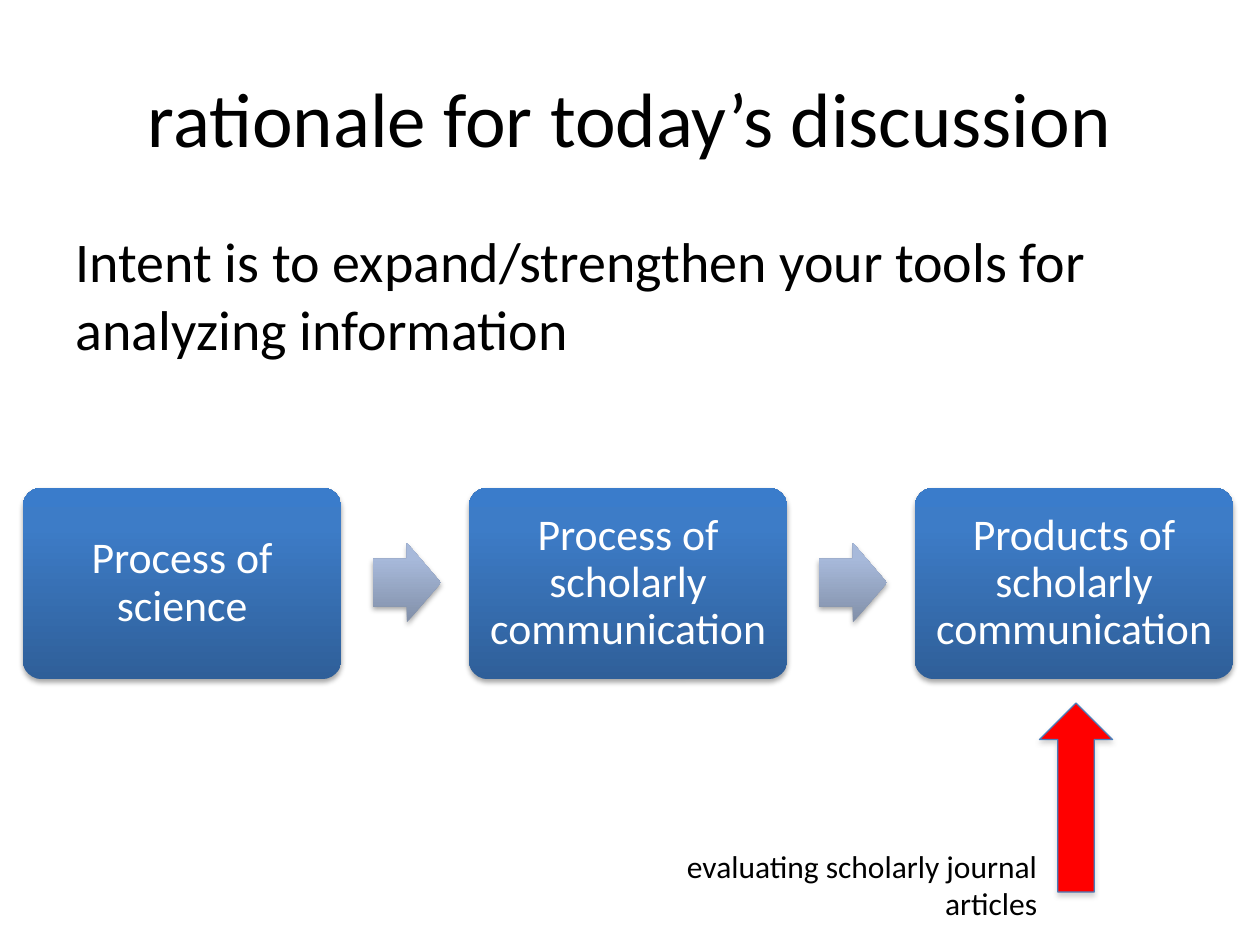
from dataclasses import dataclass

from lxml import etree
from pptx import Presentation
from pptx import util as u
from pptx.dml.color import RGBColor
from pptx.enum import shapes, text
from pptx.oxml import parse_xml
from pptx.oxml.ns import nsdecls, qn

FONT = "Calibri"
BOX_STOPS = ((0, "2F5F99"), (80, "3D7CC7"), (100, "3A7CCB"))
ARROW_STOPS = ((0, "818FA8"), (80, "A7B9DA"), (100, "A7BADC"))


@dataclass
class Area:
    left: float
    top: float
    width: float
    height: float

    def lengths(self):
        return [u.Inches(n) for n in (self.left, self.top, self.width, self.height)]


def color(value: str) -> RGBColor:
    return RGBColor.from_string(value)


def style_paragraph(paragraph, size: float, value: str, alignment) -> None:
    paragraph.font.name = FONT
    paragraph.font.size = u.Pt(size)
    paragraph.font.color.rgb = color(value)
    paragraph.alignment = alignment


def fill_placeholder(shape, area: Area, words: str, size: float, alignment):
    shape.left, shape.top, shape.width, shape.height = area.lengths()
    shape.text_frame.text = words
    paragraph = shape.text_frame.paragraphs[0]
    style_paragraph(paragraph, size, "000000", alignment)
    return paragraph


def add_shadow(shape, value: str) -> None:
    shape.shadow.inherit = False
    effects = shape._element.spPr.find(qn("a:effectLst"))
    effects.append(parse_xml(
        f'<a:outerShdw {nsdecls("a")} blurRad="{u.Pt(3.1)}" dist="{u.Pt(1.8)}" '
        f'dir="5400000" rotWithShape="0"><a:srgbClr val="{value}">'
        '<a:alpha val="35000"/></a:srgbClr></a:outerShdw>'))


def add_preset(slide, kind, area: Area, adjustments: tuple, shadow: str):
    shape = slide.shapes.add_shape(kind, *area.lengths())
    for index, adjustment in enumerate(adjustments):
        shape.adjustments[index] = adjustment
    add_shadow(shape, shadow)
    return shape


def set_gradient(shape, gradient_stops: tuple) -> None:
    """Fill without outline; the first stop lies at the bottom."""
    shape.fill.gradient()
    shape.fill.gradient_angle = 90
    stop_list = shape._element.spPr.find(f'.//{qn("a:gsLst")}')
    for stop in list(stop_list):
        stop_list.remove(stop)
    for position, value in gradient_stops:
        stop = etree.SubElement(stop_list, qn("a:gs"), pos=str(position * 1000))
        etree.SubElement(stop, qn("a:srgbClr"), val=value)
    shape.line.fill.background()


def add_step(slide, area: Area, words: str) -> None:
    shape = add_preset(slide, shapes.MSO_SHAPE.ROUNDED_RECTANGLE, area, (0.1,), "000000")
    set_gradient(shape, BOX_STOPS)
    frame = shape.text_frame
    frame.word_wrap = True
    frame.vertical_anchor = text.MSO_ANCHOR.MIDDLE
    frame.margin_left = frame.margin_right = u.Inches(0.1)
    frame.margin_top = frame.margin_bottom = u.Inches(0.1)
    frame.text = words
    paragraph = frame.paragraphs[0]
    style_paragraph(paragraph, 25, "FFFFFF", text.PP_ALIGN.CENTER)
    paragraph.line_spacing = 0.9


def add_step_arrow(slide, area: Area) -> None:
    shape = add_preset(slide, shapes.MSO_SHAPE.RIGHT_ARROW, area, (0.6, 0.5), "000000")
    set_gradient(shape, ARROW_STOPS)


def main() -> None:
    presentation = Presentation()
    presentation.slide_width, presentation.slide_height = u.Inches(10), u.Inches(7.5)
    slide = presentation.slides.add_slide(presentation.slide_layouts[1])

    # Title and intent
    fill_placeholder(slide.shapes.title, Area(0.5, 0.3, 9, 1.25),
                     "rationale for today’s discussion", 44, text.PP_ALIGN.CENTER)
    intent = fill_placeholder(
        slide.placeholders[1], Area(0.5, 1.75, 9, 1.25),
        "Intent is to expand/strengthen your tools for analyzing information",
        32, text.PP_ALIGN.LEFT)
    properties = intent._p.get_or_add_pPr()
    properties.set("marL", "0")
    properties.set("indent", "0")
    properties.insert_element_before(
        parse_xml(f'<a:buNone {nsdecls("a")}/>'), "a:tabLst", "a:defRPr", "a:extLst")

    # Process: three steps with an arrow after each but the last
    steps = ("Process of science", "Process of scholarly communication",
             "Products of scholarly communication")
    pitch = 3.54
    for index, words in enumerate(steps):
        left = 0.18 + index * pitch
        add_step(slide, Area(left, 3.87, 2.53, 1.52), words)
        if index < len(steps) - 1:
            add_step_arrow(slide, Area(left + 2.78, 4.31, 0.54, 0.63))

    # Red pointer and its caption
    pointer = add_preset(slide, shapes.MSO_SHAPE.UP_ARROW, Area(8.25, 5.58, 0.58, 1.5),
                         (0.5, 0.5), "808080")
    pointer.fill.solid()
    pointer.fill.fore_color.rgb = color("FF0000")
    pointer.line.color.rgb = color("4A7EBB")
    pointer.line.width = u.Pt(0.75)

    caption = slide.shapes.add_textbox(*Area(4.75, 6.67, 3.58, 0.71).lengths())
    caption.text_frame.word_wrap = True
    caption.text_frame.auto_size = text.MSO_AUTO_SIZE.SHAPE_TO_FIT_TEXT
    caption.text_frame.text = "evaluating scholarly journal articles"
    style_paragraph(caption.text_frame.paragraphs[0], 18, "000000", text.PP_ALIGN.RIGHT)

    presentation.save("out.pptx")


if __name__ == "__main__":
    main()
